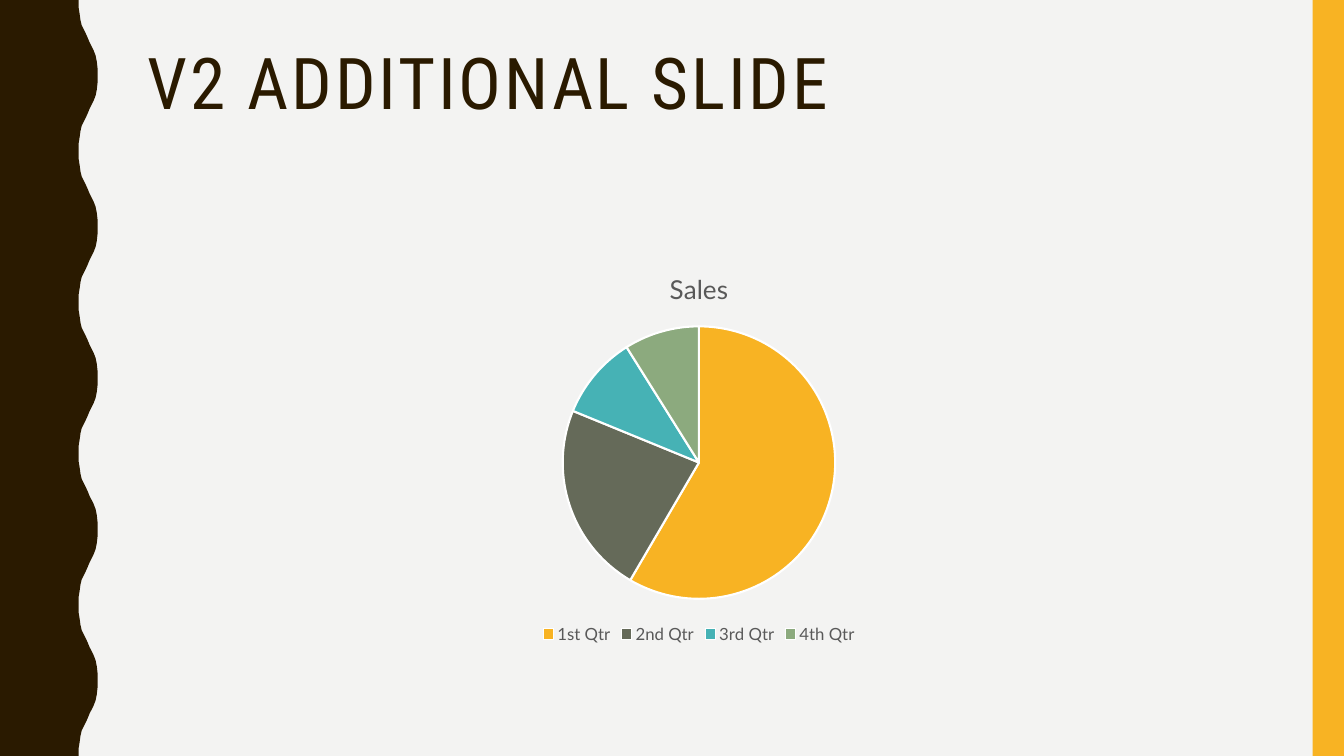
from pptx import Presentation
from pptx.chart.data import CategoryChartData
from pptx.dml.color import RGBColor
from pptx.enum.chart import XL_CHART_TYPE, XL_LEGEND_POSITION
from pptx.enum.shapes import MSO_SHAPE
from pptx.enum.text import MSO_ANCHOR
from pptx.util import Cm, Pt

BROWN = RGBColor(0x2A, 0x1A, 0x00)
AMBER = RGBColor(0xF8, 0xB3, 0x23)
OLIVE = RGBColor(0x65, 0x6A, 0x59)
TEAL = RGBColor(0x46, 0xB2, 0xB5)
SAGE = RGBColor(0x8C, 0xAA, 0x7E)
GREY = RGBColor(0x59, 0x59, 0x59)
PAPER = RGBColor(0xF3, 0xF3, 0xF2)
WHITE = RGBColor(0xFF, 0xFF, 0xFF)

prs = Presentation()
prs.slide_width, prs.slide_height = Cm(33.87), Cm(19.05)
s = prs.slides.add_slide(prs.slide_layouts[6])
s.background.fill.solid()
s.background.fill.fore_color.rgb = PAPER

# Wavy left band: half a wave, mirrored and repeated down the slide
WAVES = 5
wave_height = 19.05 / WAVES
half_wave = [(1.98, 0), (1.98, 0.18), (2.01, 0.36), (2.03, 0.51), (2.06, 0.64),
             (2.11, 0.74), (2.16, 0.84), (2.21, 0.95), (2.26, 1.07), (2.31, 1.17),
             (2.36, 1.27), (2.41, 1.4), (2.44, 1.55), (2.46, 1.73)]
crest = [(2.46, wave_height / 2)]
wave = half_wave + crest + [(x, wave_height - y) for x, y in half_wave[:0:-1]]
edge = [(x, y + i * wave_height) for i in range(WAVES) for x, y in wave]
edge += [(1.98, 19.05), (0, 19.05)]
builder = s.shapes.build_freeform(0, 0)
builder.add_line_segments([(Cm(x), Cm(y)) for x, y in edge], close=True)
band = builder.convert_to_shape()

# Right bar
bar = s.shapes.add_shape(MSO_SHAPE.RECTANGLE, Cm(33.08), 0, Cm(0.79), Cm(19.05))

for sp, color in ((band, BROWN), (bar, AMBER)):
    sp.shadow.inherit = False
    sp.fill.solid()
    sp.fill.fore_color.rgb = color
    sp.line.fill.background()

# Title
tf = s.shapes.add_textbox(Cm(3.48), Cm(1.07), Cm(28.27), Cm(4.14)).text_frame
tf.word_wrap = True
tf.vertical_anchor = MSO_ANCHOR.TOP
p = tf.paragraphs[0]
p.line_spacing = 0.9
r = p.add_run()
r.text = "V2 ADDITIONAL SLIDE"
r.font.name = "Roboto Condensed"
r.font.size = Pt(51)
r.font.color.rgb = BROWN
r.font._element.set("spc", "200")

# Sales pie
data = CategoryChartData()
data.categories = ["1st Qtr", "2nd Qtr", "3rd Qtr", "4th Qtr"]
data.add_series("Sales", (59, 23, 10, 9))
chart = s.shapes.add_chart(XL_CHART_TYPE.PIE, Cm(3.48), Cm(6.35),
                           Cm(28.27), Cm(9.98), data).chart
chart.font.name = "Lato"
chart.font.size = Pt(10)

plot = chart.plots[0]
plot.vary_by_categories = True
for i, color in enumerate((AMBER, OLIVE, TEAL, SAGE)):
    fmt = plot.series[0].points[i].format
    fmt.fill.solid()
    fmt.fill.fore_color.rgb = color
    fmt.line.color.rgb = WHITE
    fmt.line.width = Pt(1.5)

# Chart title and legend
chart.has_title = True
chart.chart_title.include_in_layout = False
r = chart.chart_title.text_frame.paragraphs[0].add_run()
r.text = "Sales"
r.font.bold = False
chart.has_legend = True
chart.legend.position = XL_LEGEND_POSITION.BOTTOM
chart.legend.include_in_layout = False
for font, size in ((r.font, 18.6), (chart.legend.font, 12)):
    font.name = "Lato"
    font.size = Pt(size)
    font.color.rgb = GREY

prs.save("out.pptx")
